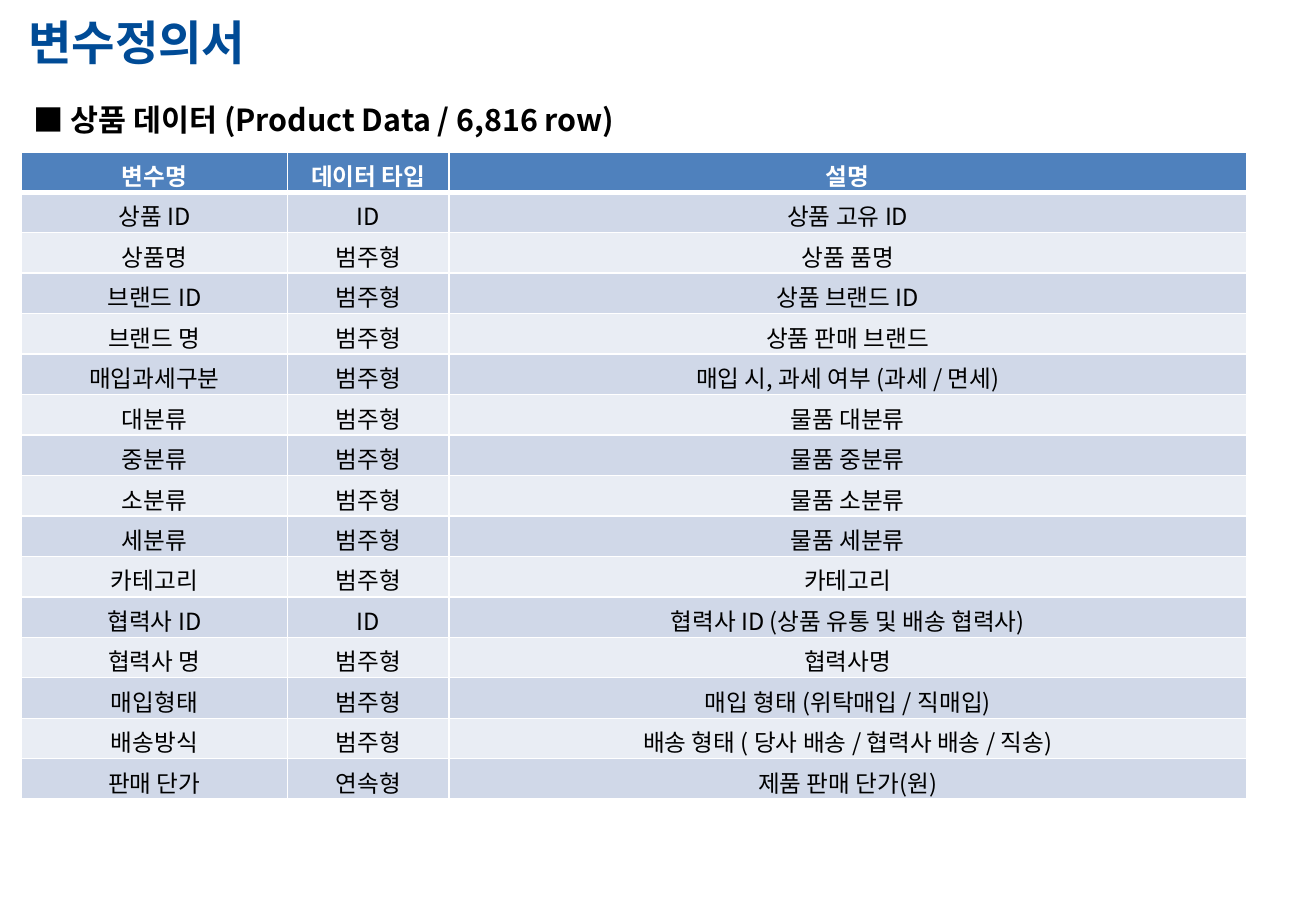
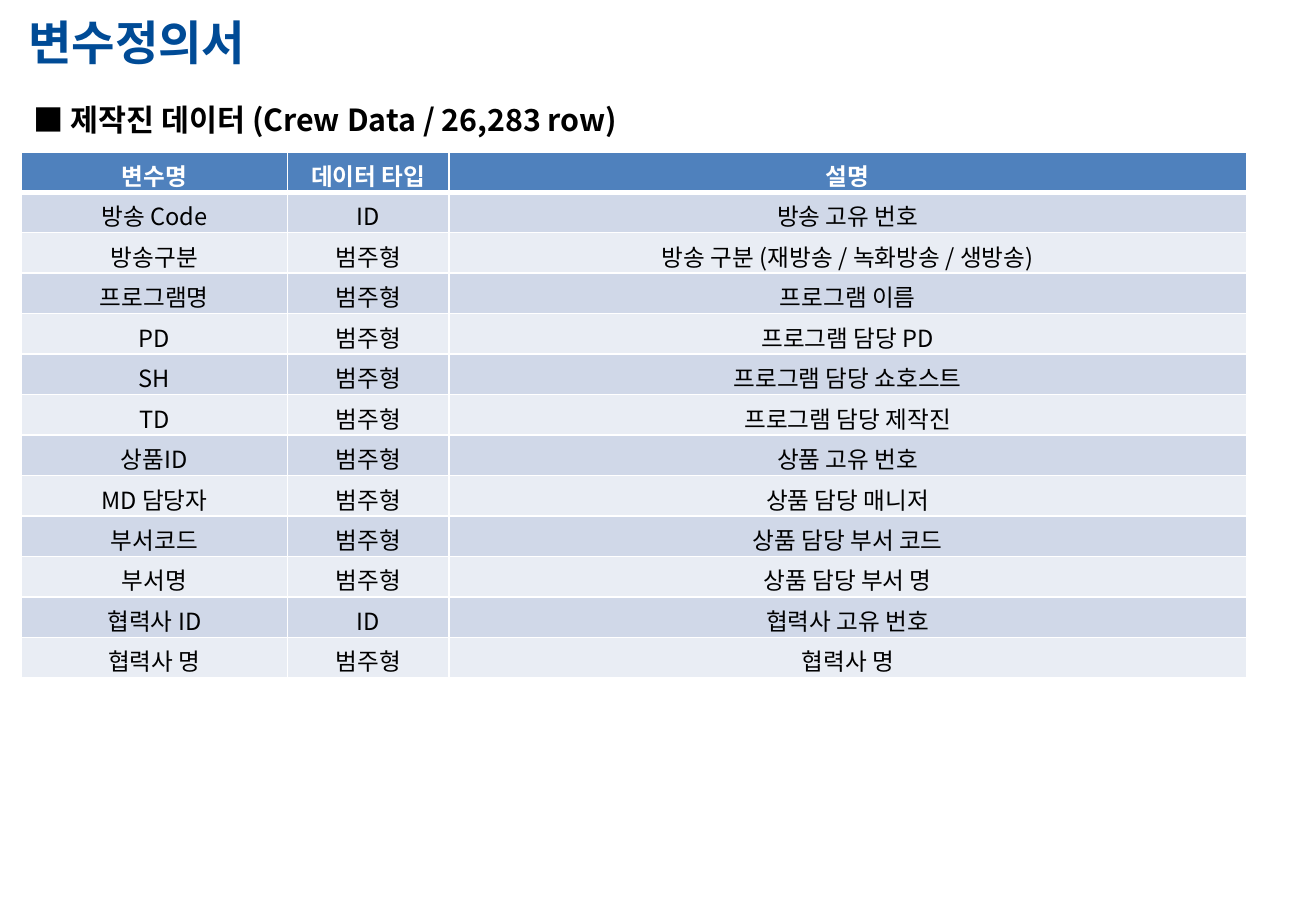
from dataclasses import dataclass

from pptx import Presentation
from pptx.dml.color import RGBColor
from pptx.enum.text import MSO_ANCHOR, MSO_AUTO_SIZE, PP_ALIGN
from pptx.oxml.ns import qn
from pptx.oxml.xmlchemy import OxmlElement
from pptx.util import Pt

EMU_PER_PX = 9525


def px(length):
    return length * EMU_PER_PX


@dataclass(frozen=True)
class Theme:
    font: str = "Noto Sans CJK KR"
    title_color: str = "004B96"
    text_color: str = "000000"
    white: str = "FFFFFF"
    header_fill: str = "4F81BD"
    band_fills: tuple = ("D0D8E8", "E9EDF4")
    title_size: int = 28
    subtitle_size: int = 18
    table_size: int = 14
    rule_width: int = 1
    header_rule_width: int = 3


CATEGORICAL = "범주형"
HEADER = ("변수명", "데이터 타입", "설명")
COLUMN_WIDTHS = (210, 128, 630)
ROW_HEIGHT = 32

PRODUCT_VARIABLES = (
    ("상품 ID", "ID", "상품 고유 ID"),
    ("상품명", CATEGORICAL, "상품 품명"),
    ("브랜드 ID", CATEGORICAL, "상품 브랜드 ID"),
    ("브랜드 명", CATEGORICAL, "상품 판매 브랜드"),
    ("매입과세구분", CATEGORICAL, "매입 시, 과세 여부 (과세 / 면세)"),
    ("대분류", CATEGORICAL, "물품 대분류"),
    ("중분류", CATEGORICAL, "물품 중분류"),
    ("소분류", CATEGORICAL, "물품 소분류"),
    ("세분류", CATEGORICAL, "물품 세분류"),
    ("카테고리", CATEGORICAL, "카테고리"),
    ("협력사 ID", "ID", "협력사 ID (상품 유통 및 배송 협력사)"),
    ("협력사 명", CATEGORICAL, "협력사명"),
    ("매입형태", CATEGORICAL, "매입 형태 (위탁매입 / 직매입)"),
    ("배송방식", CATEGORICAL, "배송 형태 ( 당사 배송 / 협력사 배송 / 직송)"),
    ("판매 단가", "연속형", "제품 판매 단가(원)"),
)

CREW_VARIABLES = (
    ("방송 Code", "ID", "방송 고유 번호"),
    ("방송구분", CATEGORICAL, "방송 구분 (재방송 / 녹화방송 / 생방송)"),
    ("프로그램명", CATEGORICAL, "프로그램 이름"),
    ("PD", CATEGORICAL, "프로그램 담당 PD"),
    ("SH", CATEGORICAL, "프로그램 담당 쇼호스트"),
    ("TD", CATEGORICAL, "프로그램 담당 제작진"),
    ("상품ID", CATEGORICAL, "상품 고유 번호"),
    ("MD 담당자", CATEGORICAL, "상품 담당 매니저"),
    ("부서코드", CATEGORICAL, "상품 담당 부서 코드"),
    ("부서명", CATEGORICAL, "상품 담당 부서 명"),
    ("협력사 ID", "ID", "협력사 고유 번호"),
    ("협력사 명", CATEGORICAL, "협력사 명"),
)

SECTIONS = (
    ("■ 상품 데이터 (Product Data / 6,816 row)", PRODUCT_VARIABLES),
    ("■ 제작진 데이터 (Crew Data / 26,283 row)", CREW_VARIABLES),
)


class Deck:
    def __init__(self, theme):
        self.theme = theme
        self.presentation = Presentation()
        self.presentation.slide_width = px(1040)
        self.presentation.slide_height = px(720)
        self.slide = None

    def new_slide(self):
        self.slide = self.presentation.slides.add_slide(self.presentation.slide_layouts[6])

    def set_text(self, frame, text, size, color, bold, align=PP_ALIGN.LEFT):
        paragraph = frame.paragraphs[0]
        paragraph.text = text
        paragraph.alignment = align
        font = paragraph.font
        font.size = Pt(size)
        font.bold = bold
        font.color.rgb = RGBColor.from_string(color)
        font.name = self.theme.font
        east_asian = OxmlElement("a:ea")
        east_asian.set("typeface", self.theme.font)
        paragraph._p.pPr.find(qn("a:defRPr")).append(east_asian)

    def heading(self, text, left, top, width, height, size, color):
        box = self.slide.shapes.add_textbox(px(left), px(top), px(width), px(height))
        frame = box.text_frame
        frame.word_wrap = True
        frame.auto_size = MSO_AUTO_SIZE.NONE
        frame.vertical_anchor = MSO_ANCHOR.MIDDLE
        frame.margin_top = frame.margin_bottom = 0
        self.set_text(frame, text, size, color, True)

    def title(self, text):
        self.heading(text, 13, 5, 696, 55, self.theme.title_size, self.theme.title_color)

    def subtitle(self, text):
        self.heading(text, 17, 75, 735, 38, self.theme.subtitle_size, self.theme.text_color)

    def cell_borders(self, cell, top, bottom):
        side = self.theme.rule_width
        for tag, width in (("a:lnL", side), ("a:lnR", side), ("a:lnT", top), ("a:lnB", bottom)):
            line = OxmlElement(tag)
            line.set("w", str(Pt(width)))
            fill = OxmlElement("a:solidFill")
            color = OxmlElement("a:srgbClr")
            color.set("val", self.theme.white)
            fill.append(color)
            line.append(fill)
            cell._tc.get_or_add_tcPr().append(line)

    def variable_table(self, variables):
        theme = self.theme
        rows = (HEADER, *variables)
        table = self.slide.shapes.add_table(
            len(rows), len(HEADER), px(17), px(120),
            px(sum(COLUMN_WIDTHS)), px(ROW_HEIGHT * len(rows)),
        ).table
        table.horz_banding = False
        for column, width in zip(table.columns, COLUMN_WIDTHS):
            column.width = px(width)
        for index, values in enumerate(rows):
            table.rows[index].height = px(ROW_HEIGHT)
            is_header = index == 0
            fill = theme.header_fill if is_header else theme.band_fills[(index - 1) % 2]
            color = theme.white if is_header else theme.text_color
            top = theme.header_rule_width if index == 1 else theme.rule_width
            bottom = theme.header_rule_width if is_header else theme.rule_width
            for cell, value in zip(table.rows[index].cells, values):
                cell.margin_top = px(4)
                cell.margin_bottom = 0
                cell.vertical_anchor = MSO_ANCHOR.BOTTOM
                self.cell_borders(cell, top, bottom)
                cell.fill.solid()
                cell.fill.fore_color.rgb = RGBColor.from_string(fill)
                self.set_text(cell.text_frame, value, theme.table_size, color,
                              is_header, PP_ALIGN.CENTER)


def main():
    deck = Deck(Theme())
    for subtitle, variables in SECTIONS:
        deck.new_slide()
        deck.title("변수정의서")
        deck.variable_table(variables)
        deck.subtitle(subtitle)
    deck.presentation.save("out.pptx")


if __name__ == "__main__":
    main()
